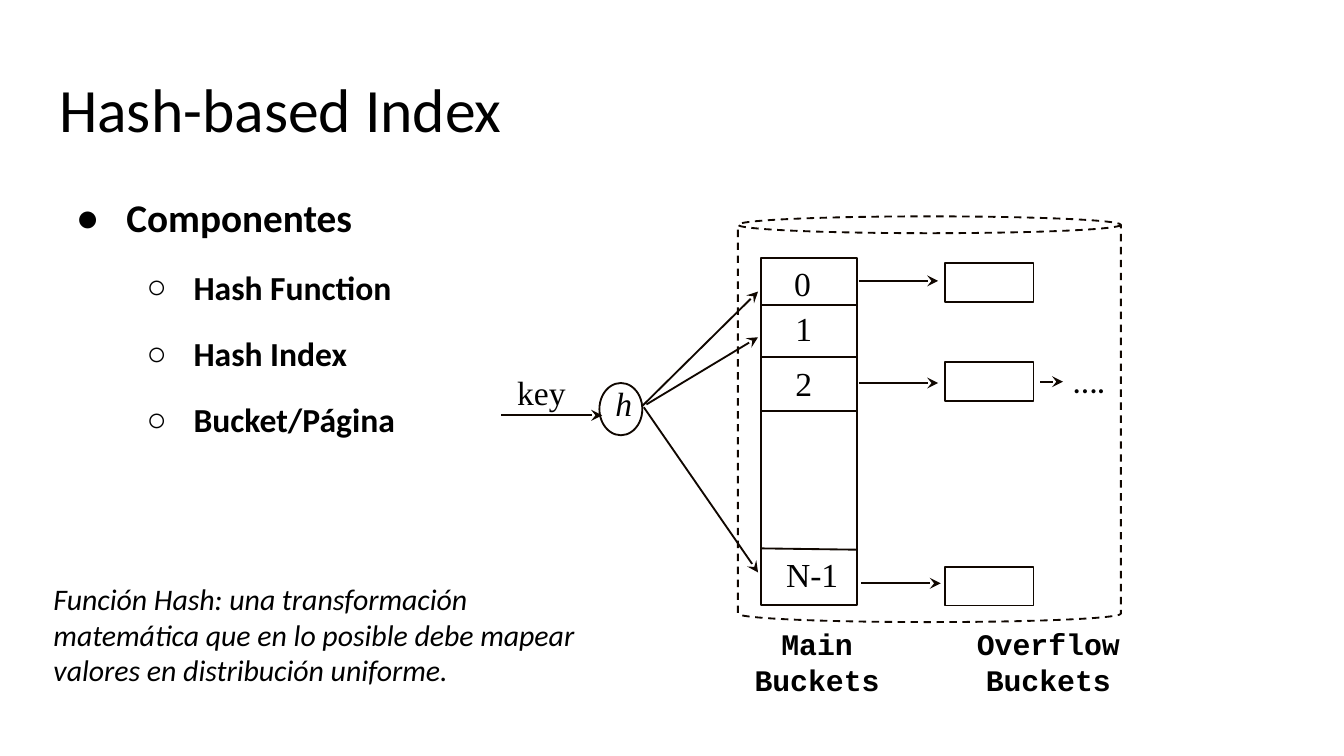
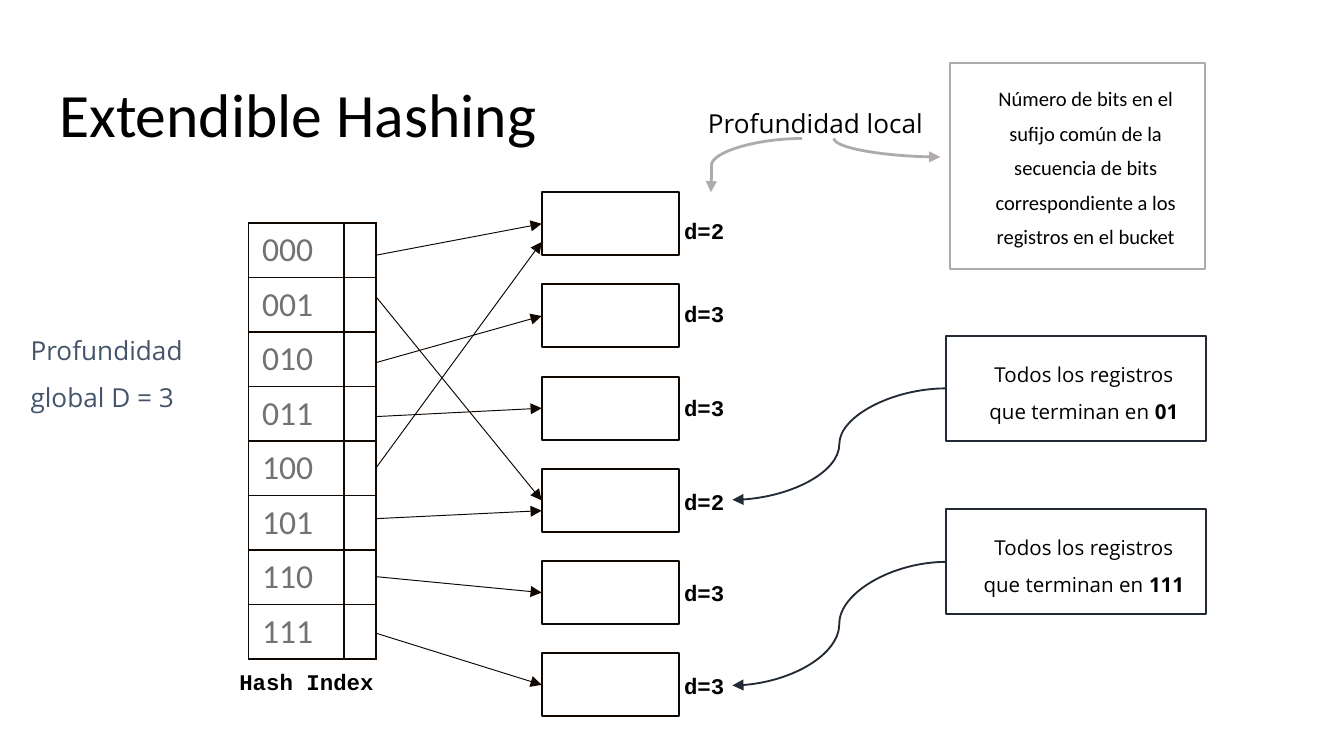
import pptx
import pptx.dml.color
import pptx.enum.dml
import pptx.enum.shapes
import pptx.enum.text
import pptx.oxml.ns
import pptx.util
from lxml import etree

Pt = pptx.util.Pt
RGB = pptx.dml.color.RGBColor.from_string
qn = pptx.oxml.ns.qn
PRESET = pptx.enum.shapes.MSO_SHAPE
CONNECTOR = pptx.enum.shapes.MSO_CONNECTOR
ALIGN = pptx.enum.text.PP_ALIGN
ANCHOR = pptx.enum.text.MSO_ANCHOR
FIT = pptx.enum.text.MSO_AUTO_SIZE


class Theme:
    text = "000000"
    ink = "100700"
    grey = "AFABAB"
    navy = "222A35"
    slate = "44546A"
    cell = "767171"
    sans = "Calibri"
    open_sans = "Open Sans"
    serif = "Times New Roman"
    mono = "Courier New"
    title_size = 33
    list_size = 21
    diagram_size = 18
    caption_size = 16
    depth_size = 14
    label_size = 12
    note_size = 11


def write(frame, text, font=Theme.sans, size=Theme.diagram_size, color=Theme.text,
          bold=False, italic=False, bold_end="", align=ALIGN.LEFT, spacing=1.0,
          before=0, level=0, bullet=None, left=0, hanging=0,
          inset=3.6, wrap=True, grow=False, anchor=ANCHOR.TOP):
    """Append one paragraph per line of text; bold_end is a closing bold run."""
    frame.word_wrap = wrap
    frame.auto_size = FIT.SHAPE_TO_FIT_TEXT if grow else FIT.NONE
    frame.vertical_anchor = anchor
    frame.margin_left = frame.margin_right = Pt(7.2)
    frame.margin_top = frame.margin_bottom = Pt(inset)
    for line in text.split("\n"):
        paragraph = frame.paragraphs[0]
        if paragraph.runs:
            paragraph = frame.add_paragraph()
        paragraph.level = level
        properties = paragraph._p.get_or_add_pPr()
        properties.set("marL", str(Pt(left)))
        properties.set("indent", str(Pt(-hanging)))
        if bullet:
            etree.SubElement(properties, qn("a:buChar")).set("char", bullet)
        else:
            etree.SubElement(properties, qn("a:buNone"))
        paragraph.alignment = align
        paragraph.line_spacing = spacing
        paragraph.space_before = Pt(before)
        paragraph.space_after = Pt(0)
        for part, heavy in ((line, bold), (bold_end, True)):
            if part:
                run = paragraph.add_run()
                run.text = part
                run.font.name = font
                run.font.size = Pt(size)
                run.font.bold = heavy
                run.font.italic = italic
                run.font.color.rgb = RGB(color)


def draw_line(slide, start, end, color=Theme.ink, width=1, head=None,
              kind=CONNECTOR.STRAIGHT):
    line = slide.shapes.add_connector(kind, *map(Pt, start + end))
    line.line.color.rgb = RGB(color)
    line.line.width = Pt(width)
    if head:
        etree.SubElement(line.line._get_or_add_ln(), qn("a:tailEnd")).set("type", head)
    etree.SubElement(line._element.spPr, qn("a:effectLst"))
    return line


prs = pptx.Presentation()
prs.slide_width, prs.slide_height = Pt(720), Pt(405)

for heading, top in (("Hash-based Index", 32.4), ("Extendible Hashing", 35.3)):
    slide = prs.slides.add_slide(prs.slide_layouts[1])
    title = slide.shapes.title
    title.left, title.top, title.width, title.height = map(Pt, (24.5, top, 671, 55.4))
    write(title.text_frame, heading, size=Theme.title_size, spacing=0.9, inset=7.2,
          anchor=ANCHOR.MIDDLE)
index_slide, extendible_slide = prs.slides
outlined = []  # (shape, line colour), styled together at the end

# Slide 1: components of a hash index
components = index_slide.placeholders[1]
components.left, components.top, components.width, components.height = map(
    Pt, (24.5, 99.4, 324.7, 260))
write(components.text_frame, "Componentes", size=Theme.list_size, bold=True,
      spacing=0.9, bullet="●", left=36, hanging=27, inset=7.2)
write(components.text_frame, "Hash Function\nHash Index\nBucket/Página", bold=True,
      spacing=0.9, before=16, level=1, bullet="○", left=72, hanging=25.2, inset=7.2)

disk = index_slide.shapes.add_shape(PRESET.CAN, *map(Pt, (395.3, 115.9, 205.2, 217.4)))
disk.adjustments[0] = 0.044
disk.line.dash_style = pptx.enum.dml.MSO_LINE.DASH
outlined.append((disk, Theme.ink))

main_left, main_right = 407.5, 459.2
for preset, *place in (
    (PRESET.OVAL, 321.1, 205.2, 23, 28),
    (PRESET.RECTANGLE, main_left, 138.2, main_right - main_left, 185.8),
    *((PRESET.RECTANGLE, 506.2, top, 47.5, 20.6) for top in (141.1, 194.1, 303.8)),
):
    outlined.append((index_slide.shapes.add_shape(preset, *map(Pt, place)), Theme.ink))

for y, end_y in ((163.4, 163.4), (191.5, 191.5), (220.3, 220.3), (293.8, 294.5)):
    draw_line(index_slide, (main_left, y), (main_right, end_y))

for start, end in (
    ((268.6, 222.5), (322.6, 222.5)),
    ((344.2, 217.4), (406.1, 156.2)),
    ((346.3, 216.7), (406.1, 180.7)),
    ((344.9, 218.2), (406.1, 306.7)),
    ((460.1, 150.5), (502.6, 150.5)),
    ((460.1, 205.2), (502.6, 205.2)),
    ((461.5, 312.5), (504, 312.5)),
    ((557.3, 204.5), (569.5, 204.5)),
):
    draw_line(index_slide, start, end, head="stealth")

serif = dict(font=Theme.serif)
caption = dict(font=Theme.mono, size=Theme.caption_size, bold=True, align=ALIGN.CENTER)
for text, left, top, width, height, look in (
    ("h", 322.6, 201.6, 23.8, 28.8, dict(serif, italic=True)),
    ("key", 270, 195.8, 40.3, 28.8, serif),
    ("0", 418.3, 137.5, 23.8, 28.8, serif),
    ("1", 419, 161.3, 23.8, 28.8, serif),
    ("2", 419, 190.8, 23.8, 28.8, serif),
    ("N-1", 414, 293, 42.5, 28.8, serif),
    ("….", 568.1, 189.4, 31.7, 28.8, {}),
    ("Main\nBuckets", 396.7, 331.9, 82.1, 46.1, caption),
    ("Overflow\nBuckets", 515.5, 331.9, 92.2, 46.1, caption),
):
    label = index_slide.shapes.add_textbox(*map(Pt, (left, top, width, height)))
    write(label.text_frame, text, wrap=False, grow=True, **look)

definition = index_slide.shapes.add_textbox(*map(Pt, (21.6, 307.4, 311.8, 65.5)))
write(definition.text_frame,
      "Función Hash: una transformación matemática que en lo posible debe mapear "
      "valores en distribución uniforme.",
      size=Theme.caption_size, italic=True, grow=True)

# Slide 2: directory, buckets and depths
local_depth = extendible_slide.placeholders[1]
local_depth.left, local_depth.top, local_depth.width, local_depth.height = map(
    Pt, (509, 33.8, 136.8, 110.2))
write(local_depth.text_frame,
      "Número de bits en el sufijo común de la secuencia de bits correspondiente a "
      "los registros en el bucket",
      size=Theme.note_size, align=ALIGN.CENTER, spacing=1.4, left=8.6, inset=7.2)
local_depth.line.color.rgb = RGB(Theme.grey)
local_depth.line.width = Pt(1)

directory = extendible_slide.shapes.add_table(
    8, 2, *map(Pt, (133.2, 119.5, 67.7, 230.4))).table
directory.first_row = directory.horz_banding = False
directory.columns[0].width, directory.columns[1].width = Pt(51.1), Pt(16.6)
for number, row in enumerate(directory.rows):
    row.height = Pt(28.8)
    write(row.cells[0].text_frame, f"{number:03b}", color=Theme.cell)
    for cell in row.cells:
        properties = cell._tc.get_or_add_tcPr()
        for side in ("a:lnL", "a:lnR", "a:lnT", "a:lnB"):
            border = etree.SubElement(properties, qn(side), w=str(Pt(1)))
            paint = etree.SubElement(border, qn("a:solidFill"))
            etree.SubElement(paint, qn("a:srgbClr"), val=Theme.ink)
        cell.fill.background()

bucket_left, bucket_top, bucket_step, bucket_height = 290.2, 103, 49.4, 33.8
buckets = []
mono = dict(font=Theme.mono, size=Theme.label_size, bold=True, align=ALIGN.CENTER,
            grow=True)
depth = dict(font=Theme.open_sans, size=Theme.depth_size, spacing=1.5, left=8.6,
             inset=7.2)
labels = [
    ("Hash Index", 81.4, 354.2, 165.6, 21.6, mono),
    ("Profundidad local", 363.6, 41.8, 176.4, 37.4, depth),
    ("Profundidad global D = 3", 0.7, 163.4, 126, 73.4, dict(depth, color=Theme.slate)),
]
for number, (bits, label_top) in enumerate(
        ((2, 113), (3, 157), (3, 207.4), (2, 257.8), (3, 306.7), (3, 356.4))):
    bucket = extendible_slide.shapes.add_shape(PRESET.RECTANGLE, *map(Pt, (
        bucket_left, bucket_top + number * bucket_step, 73.4, bucket_height)))
    buckets.append(bucket)
    outlined.append((bucket, Theme.ink))
    labels.append((f"d={bits}", 357.1, label_top, 40.3, 21.6, mono))
for text, left, top, width, height, look in labels:
    label = extendible_slide.shapes.add_textbox(*map(Pt, (left, top, width, height)))
    write(label.text_frame, text, **look)

# An end height is given where a pointer misses the middle of the bucket's side
for start_y, number, end_y in (
    (136.8, 0, None), (158.4, 3, None), (194.4, 1, None), (223.2, 2, None),
    (251.3, 0, 129.6), (277.9, 3, 273.6), (308.9, 4, None), (339.1, 5, None),
):
    middle = bucket_top + number * bucket_step + bucket_height / 2
    pointer = draw_line(extendible_slide, (201, start_y), (bucket_left, end_y or middle),
                        width=0.5, head="triangle")
    if end_y is None:
        pointer.end_connect(buckets[number], 1)

curve = dict(head="triangle", kind=CONNECTOR.CURVE)
for suffix, top, arrow_y in (("01", 180, 267.8), ("111", 272.9, 367.2)):
    note = extendible_slide.shapes.add_shape(
        PRESET.RECTANGLE, *map(Pt, (506.9, top, 139, 56.2)))
    write(note.text_frame, "Todos los registros que terminan en ", bold_end=suffix,
          font=Theme.open_sans, size=Theme.note_size, align=ALIGN.CENTER, spacing=1.5,
          left=8.6, inset=7.2)
    outlined.append((note, Theme.navy))
    draw_line(extendible_slide, (506.9, top + 28.1), (392.4, arrow_y),
              color=Theme.navy, **curve)

to_label = draw_line(extendible_slide, (429.8, 74.2), (380.9, 103),
                     color=Theme.grey, width=1.5, **curve)
bend = to_label._element.spPr.prstGeom.get_or_add_avLst()
etree.SubElement(bend, qn("a:gd"), name="adj1", fmla="val 99500")

# A quarter curve, turned to leave downwards and arrive rightwards
to_note = draw_line(extendible_slide, (480.2, 50.6), (470.2, 107.6),
                    color=Theme.grey, width=1.5, **curve)
to_note._element.spPr.prstGeom.set("prst", "curvedConnector2")
to_note._element.spPr.find(qn("a:xfrm")).set("rot", str(270 * 60000))

for shape, color in outlined:
    shape.shadow.inherit = False
    shape.fill.background()
    shape.line.color.rgb = RGB(color)
    shape.line.width = Pt(1)

prs.save("out.pptx")
